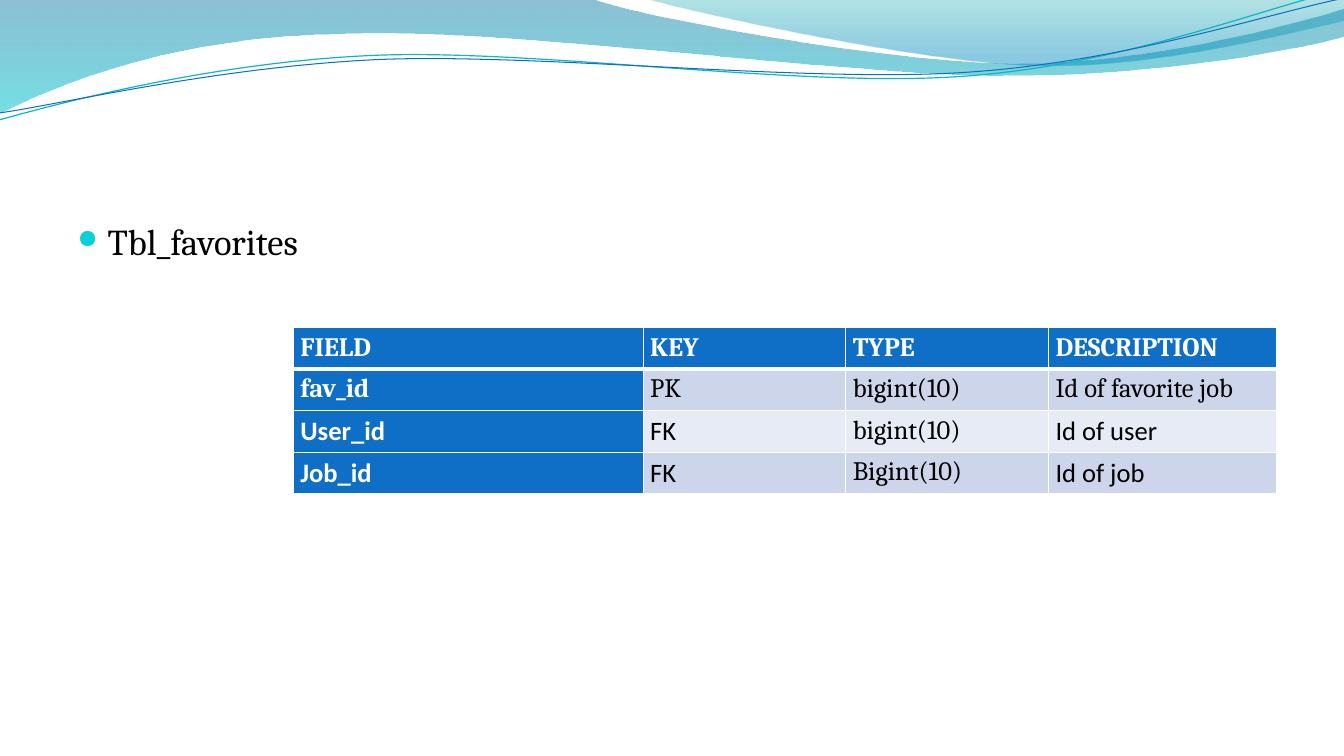
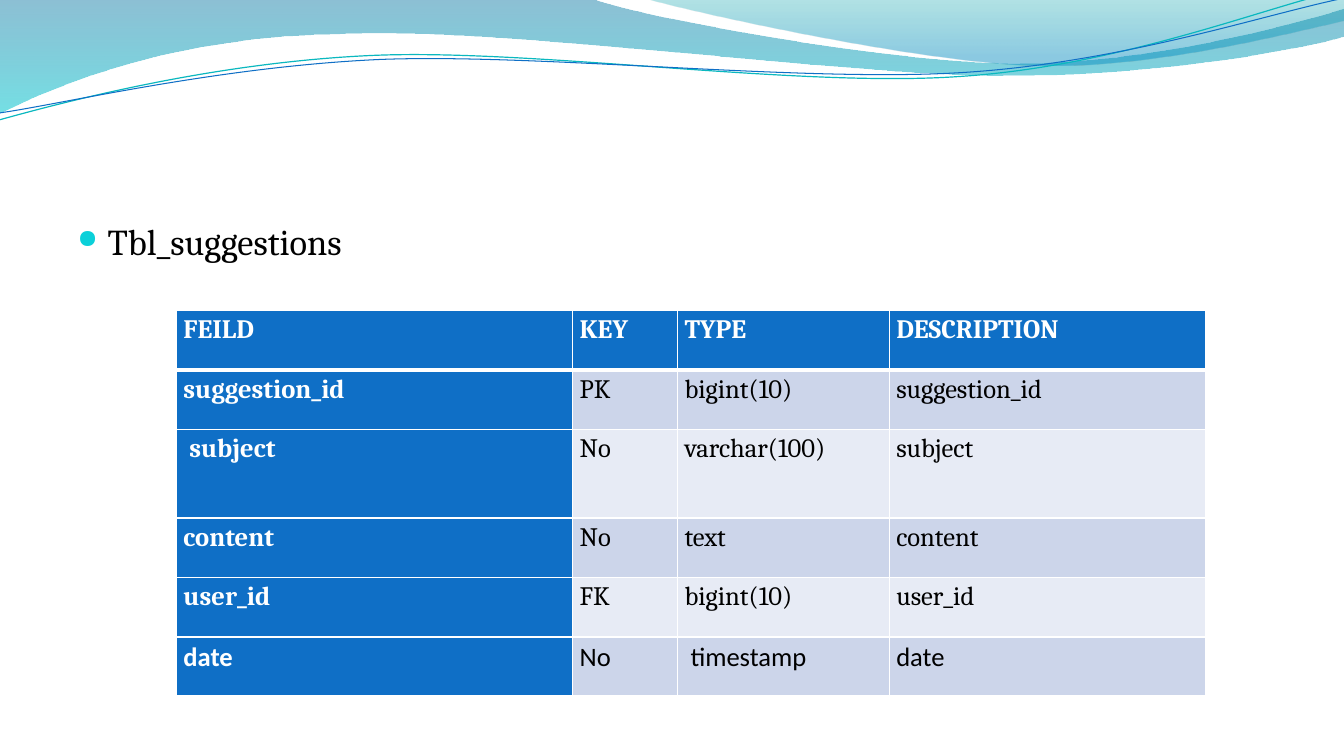
"""Build two slides that describe database tables under a wave banner."""
from lxml import etree
from pptx import Presentation
from pptx import util as u
from pptx.dml.color import RGBColor
from pptx.enum import text
from pptx.oxml.ns import qn

BLUE, WHITE, BLACK = "0F6FC6", "FFFFFF", "000000"
BANDS = ["E7EBF5", "CCD5EA"]
SERIF, SANS = "Cambria", "Calibri"

FILLS = [
    ([(0, 0), (5.87, -0.01),
      (6.34, 0.17, 8.85, 0.63, 10.11, 0.63), (11.38, 0.63, 12.78, 0.26, 13.33, 0.09),
      (13.35, 0.36),
      (13.11, 0.44, 11.6, 0.76, 9.94, 0.75), (8.29, 0.75, 5.09, 0.28, 3.43, 0.34),
      (1.72, 0.36, 0.61, 0.83, -0.01, 1.13), (0, 0)],
     [(0, "0074A1", 45), (1, "00C6CF", 55)]),
    ([(6.39, -0.01),
      (6.79, 0.11, 9.09, 0.62, 10.25, 0.65), (11.41, 0.69, 12.82, 0.32, 13.33, 0.21),
      (13.33, 0), (6.39, -0.01)],
     [(0, "00A1A9", 30), (0.8, "008BBF", 45)]),
]
LINES = [
    ([(-0.01, 1.19), (0.64, 1.01, 2.11, 0.62, 3.69, 0.55),
      (5.27, 0.48, 7.9, 0.87, 9.5, 0.76), (11.1, 0.66, 12.52, 0.08, 13.31, -0.1)],
     "0AB8BF", 0.85),
    ([(0, 1.12), (0.63, 1.03, 2.18, 0.66, 3.78, 0.59),
      (5.37, 0.53, 7.96, 0.82, 9.55, 0.72), (11.15, 0.62, 12.55, 0.14, 13.34, -0.02)],
     BLUE, 0.75),
]

PAGES = [
    ("Tbl_favorites", (2.91, 3.25), [3.47, 2.01, 2.01, 2.26], [1.65 / 4] * 4,
     [["FIELD", "KEY", "TYPE", "DESCRIPTION"],
      ["fav_id", "PK", "bigint(10)", "Id of favorite job"],
      ["User_id", "FK", "bigint(10)", "Id of user"],
      ["Job_id", "FK", "Bigint(10)", "Id of job"]],
     [(r, c) for r in (2, 3) for c in (0, 1, 3)]),
    ("Tbl_suggestions", (1.75, 3.08), [3.93, 1.04, 2.1, 3.14],
     [0.59, 0.59, 0.88, 0.59, 0.59, 0.58],
     [["FEILD", "KEY", "TYPE", "DESCRIPTION"],
      ["suggestion_id", "PK", "bigint(10)", "suggestion_id"],
      [" subject", "No", "varchar(100)", "subject"],
      ["content", "No", "text", "content"],
      ["user_id", "FK", "bigint(10)", "user_id"],
      ["date", "No", " timestamp", "date"]],
     [(5, c) for c in range(4)]),
]


def paint(color, value):
    color.rgb = RGBColor.from_string(value)


def trace(shapes, marks, close):
    dots = [(u.Inches(mark[i]), u.Inches(mark[i + 1]))
            for mark in marks for i in range(0, len(mark), 2)]
    pen = shapes.build_freeform(*dots[0])
    pen.add_line_segments(dots[1:], close=close)
    wave = pen.convert_to_shape()
    wave.shadow.inherit = False
    legs = iter(list(wave.element.iter(qn("a:lnTo"))))
    for mark in marks[1:]:
        leg = next(legs)
        if len(mark) == 6:
            leg.tag = qn("a:cubicBezTo")
            for rest in (next(legs), next(legs)):
                leg.append(rest[0])
                rest.getparent().remove(rest)
    return wave


deck = Presentation()
deck.slide_width, deck.slide_height = u.Inches(13.33), u.Inches(7.5)
blank = deck.slide_layouts[6]
slides = [deck.slides.add_slide(blank) for page in PAGES]

waves = []
for marks, stops in FILLS:
    wave = trace(slides[0].shapes, marks, True)
    wave.line.fill.background()
    wave.fill.gradient()
    wave.fill.gradient_angle = 270
    for stop, (place, tone, alpha) in zip(wave.fill.gradient_stops, stops):
        stop.position = place
        paint(stop.color, tone)
    for node, stop in zip(wave.element.spPr.iter(qn("a:srgbClr")), stops):
        etree.SubElement(node, qn("a:alpha"), val=str(stop[2] * 1000))
    waves.append(wave)
for marks, tone, width in LINES:
    wave = trace(slides[0].shapes, marks, False)
    wave.fill.background()
    paint(wave.line.color, tone)
    wave.line.width = u.Pt(width)
    waves.append(wave)
for num, wave in enumerate(waves, 20):
    wave.element.nvSpPr.cNvPr.set("id", str(num))
    blank.shapes.element.append(wave.element)

for slide, (title, spot, wides, highs, rows, sans) in zip(slides, PAGES):
    box = slide.shapes.add_textbox(u.Inches(0.67), u.Inches(2.12), u.Inches(12), u.Inches(4.8))
    box.text_frame.word_wrap = True
    para = box.text_frame.paragraphs[0]
    props = para._p.get_or_add_pPr()
    props.set("marL", str(u.Inches(0.3)))
    props.set("indent", str(-u.Inches(0.3)))
    tint = etree.SubElement(props, qn("a:buClr"))
    etree.SubElement(tint, qn("a:srgbClr"), val="0BD0D9")
    etree.SubElement(props, qn("a:buSzPct"), val="71000")
    etree.SubElement(props, qn("a:buChar"), char="●")
    run = para.add_run()
    run.text = title
    run.font.name, run.font.size = SERIF, u.Pt(26)
    paint(run.font.color, BLACK)

    frame = slide.shapes.add_table(len(rows), len(wides), u.Inches(spot[0]), u.Inches(spot[1]),
                                   u.Inches(sum(wides)), u.Inches(sum(highs)))
    table = frame.table
    table.first_col = True
    for col, wide in zip(table.columns, wides):
        col.width = u.Inches(wide)
    for r, (row, high) in enumerate(zip(rows, highs)):
        table.rows[r].height = u.Inches(high)
        for c, words in enumerate(row):
            cell = table.cell(r, c)
            head = r == 0 or c == 0
            cell.margin_left = cell.margin_right = u.Inches(0.07)
            cell.margin_top = cell.margin_bottom = 0
            for side in "LRTB":
                thick = (r, side) in [(0, "B"), (1, "T")]
                edge = etree.SubElement(cell._tc.get_or_add_tcPr(), qn("a:ln" + side),
                                        w=str(u.Pt(3 if thick else 1)))
                solid = etree.SubElement(edge, qn("a:solidFill"))
                etree.SubElement(solid, qn("a:srgbClr"), val=WHITE)
            cell.fill.solid()
            paint(cell.fill.fore_color, BLUE if head else BANDS[r % 2])
            para = cell.text_frame.paragraphs[0]
            para.line_spacing = 1.15
            if r > 3:
                para.alignment = text.PP_ALIGN.JUSTIFY
            run = para.add_run()
            run.text = words
            run.font.name = SANS if (r, c) in sans else SERIF
            run.font.size, run.font.bold = u.Pt(19), head
            paint(run.font.color, WHITE if head else BLACK)

deck.save("out.pptx")
